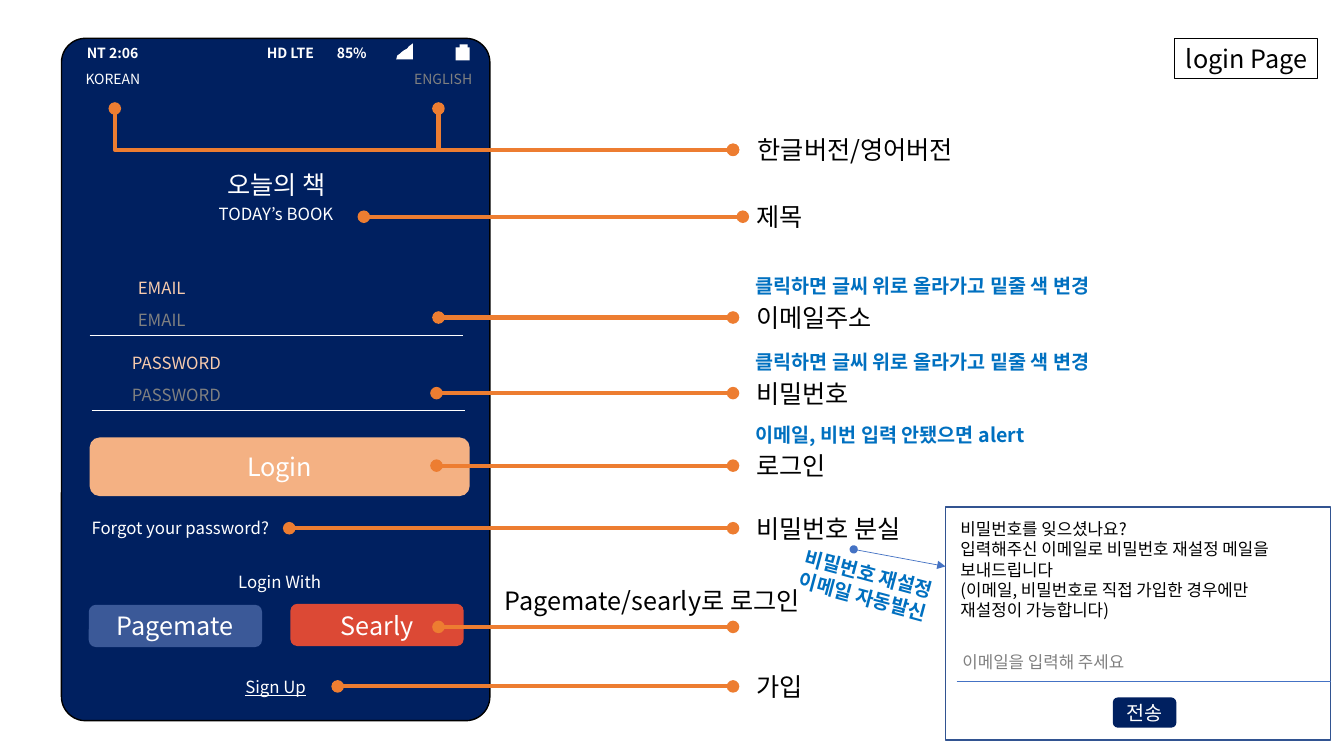
import pptx
import pptx.dml.color
import pptx.enum.shapes
import pptx.enum.text
import pptx.oxml.ns
import pptx.util
from lxml import etree

Pt = pptx.util.Pt
RGB = pptx.dml.color.RGBColor
ALIGN = pptx.enum.text.PP_ALIGN
ANCHOR = pptx.enum.text.MSO_ANCHOR
AUTO_SIZE = pptx.enum.text.MSO_AUTO_SIZE
SHAPE = pptx.enum.shapes.MSO_SHAPE
STRAIGHT = pptx.enum.shapes.MSO_CONNECTOR.STRAIGHT
qn = pptx.oxml.ns.qn

FONT = "Noto Sans CJK KR"
NAVY = RGB(0x00, 0x20, 0x60)
WHITE = RGB(0xFF, 0xFF, 0xFF)
BLACK = RGB(0x00, 0x00, 0x00)
GRAY = RGB(0x80, 0x80, 0x80)
PEACH = RGB(0xF4, 0xB1, 0x83)
PALE_PEACH = RGB(0xF8, 0xCB, 0xAD)
ORANGE = RGB(0xED, 0x7D, 0x31)
NOTE_BLUE = RGB(0x00, 0x70, 0xC0)
RULE_BLUE = RGB(0x44, 0x72, 0xC4)
POPUP_BLUE = RGB(0x32, 0x54, 0x91)
SOCIAL_BLUE = RGB(0x3B, 0x59, 0x98)
SOCIAL_RED = RGB(0xDC, 0x49, 0x35)

INPUT_NOTE = "클릭하면 글씨 위로 올라가고 밑줄 색 변경"


def write(shape, text, size=12, color=WHITE, bold=False, underline=False,
          align=ALIGN.LEFT, anchor=ANCHOR.TOP, wrap=True,
          auto_size=AUTO_SIZE.NONE):
    """Fill a shape with text, one paragraph per line."""
    frame = shape.text_frame
    frame.auto_size = auto_size
    frame.word_wrap = wrap
    frame.vertical_anchor = anchor
    for index, line in enumerate(text.split("\n")):
        paragraph = frame.add_paragraph() if index else frame.paragraphs[0]
        paragraph.alignment = align
        run = paragraph.add_run()
        run.text = line
        font = run.font
        font.name, font.size, font.bold = FONT, Pt(size), bold
        font.underline = underline
        font.color.rgb = color
        east_asian = etree.Element(qn("a:ea"), typeface=FONT)
        run._r.rPr.find(qn("a:latin")).addnext(east_asian)


def add_text(slide, text, left, top, width, height=21.6, **text_format):
    label = slide.shapes.add_textbox(Pt(left), Pt(top), Pt(width), Pt(height))
    write(label, text, **text_format)
    return label


def add_label(slide, text, left, top, width, **text_format):
    """Add a text box that grows with its unwrapped text."""
    return add_text(slide, text, left, top, width, wrap=False,
                    auto_size=AUTO_SIZE.SHAPE_TO_FIT_TEXT, **text_format)


def style(shape, fill, line=None, width=1):
    shape.shadow.inherit = False
    if fill is None:
        shape.fill.background()
    else:
        shape.fill.solid()
        shape.fill.fore_color.rgb = fill
    if line is None:
        shape.line.fill.background()
    else:
        shape.line.color.rgb = line
        shape.line.width = Pt(width)


def add_box(slide, kind, left, top, width, height, fill, line=None):
    box = slide.shapes.add_shape(kind, Pt(left), Pt(top), Pt(width), Pt(height))
    style(box, fill, line)
    return box


def add_button(slide, text, left, top, width, height, fill, size=18):
    button = add_box(slide, SHAPE.ROUNDED_RECTANGLE, left, top, width, height, fill)
    write(button, text, size=size, align=ALIGN.CENTER, anchor=ANCHOR.MIDDLE)


def add_ends(shape, head, tail):
    line = shape.line._get_or_add_ln()
    etree.SubElement(line, qn("a:headEnd"), type=head)
    etree.SubElement(line, qn("a:tailEnd"), type=tail)


def add_line(slide, x1, y1, x2, y2, color, width=0.5):
    line = slide.shapes.add_connector(STRAIGHT, Pt(x1), Pt(y1), Pt(x2), Pt(y2))
    line.line.color.rgb = color
    line.line.width = Pt(width)
    etree.SubElement(line._element.spPr, qn("a:effectLst"))
    return line


def add_path(slide, points, close):
    (x, y), *rest = [(Pt(px), Pt(py)) for px, py in points]
    builder = slide.shapes.build_freeform(x, y)
    builder.add_line_segments(rest, close=close)
    return builder.convert_to_shape()


def add_status_bar(slide, left, top):
    for text, x in (("NT 2:06", 11), ("HD LTE", 139.6), ("85%", 189.6)):
        add_text(slide, text, left + x, top + 0.7, 70, 19.4, size=10, bold=True)
    steps = ((0, 11.5), (11.9, 11.5), (11.9, 0), (9, 2.2), (8, 3.6),
             (5.5, 5), (3.5, 6.5), (2.5, 7.5), (0.8, 8.6))
    signal = add_path(slide, [(left + 239.1 + x, top + 3.6 + y) for x, y in steps], True)
    style(signal, WHITE)
    add_box(slide, SHAPE.RECTANGLE, left + 281.5, top + 6.4, 10.1, 9.4, WHITE)
    add_box(slide, SHAPE.RECTANGLE, left + 284.4, top + 4.3, 5.8, 8.6, WHITE)


def add_phone(slide, left, top, width, height):
    body = add_box(slide, SHAPE.ROUNDED_RECTANGLE, left, top, width, height, NAVY, BLACK)
    body.adjustments[0] = 0.056
    add_status_bar(slide, left, top)
    add_text(slide, "KOREAN", left + 10.1, top + 19.4, 63.4, size=10)
    add_text(slide, "ENGLISH", left + 244.8, top + 19.4, 63.4, size=10, color=GRAY)
    add_text(slide, "오늘의 책", left + 105.9, top + 90, 95, 28.8, size=18,
             align=ALIGN.CENTER)
    add_text(slide, "TODAY’s BOOK", left + 69.1, top + 114.4, 168.5,
             align=ALIGN.CENTER)
    for field, x, y, rule_x in (("EMAIL", 47.5, 167.5, 20.2),
                                ("PASSWORD", 43.3, 221.3, 21.6)):
        add_text(slide, field, left + x, top + y, 140, color=PALE_PEACH)
        add_text(slide, field, left + x, top + y + 22.6, 140, color=GRAY)
        rule_y = top + y + 44.6
        add_line(slide, left + rule_x, rule_y, left + rule_x + 266.4, rule_y, WHITE)
    add_button(slide, "Login", left + 20.2, top + 285.1, 271.4, 41.8, PEACH)
    add_text(slide, "Forgot your password?", left + 14.4, top + 339.1, 147.6)
    add_text(slide, "Login With", left + 82.1, top + 377.2, 147.6, align=ALIGN.CENTER)
    add_button(slide, "Pagemate", left + 19.5, top + 404.6, 123.8, 30.2, SOCIAL_BLUE)
    add_button(slide, "Searly", left + 163.5, top + 403.9, 123.8, 30.2, SOCIAL_RED)
    add_text(slide, "Sign Up", left + 79.2, top + 452.1, 147.6, underline=True,
             align=ALIGN.CENTER)


def add_callouts(slide, left, top, width):
    """Run a leader from each phone element to its label right of the box."""
    right = left + width
    for x in (0, 231.2):
        leader = add_path(slide, [(left + x, top), (left + x, top + 29.5),
                                  (right, top + 29.5)], False)
        style(leader, None, ORANGE, 3)
        add_ends(leader, "oval", "oval")
    add_label(slide, "한글버전/영어버전", right + 10.6, top + 14.8, 167, size=18, color=BLACK)
    rows = (("제목", 177.9, 77.3, 51.1, None),
            ("이메일주소", 231.2, 149.3, 105.1, INPUT_NOTE),
            ("비밀번호", 229.8, 203.3, 87.1, INPUT_NOTE),
            ("로그인", 229.8, 255.1, 69.1, "이메일, 비번 입력 안됐으면 alert"),
            ("비밀번호 분실", 124.6, 299.8, 130.3, None),
            ("Pagemate/searly로 로그인", 231.2, 370.3, 236.9, None),
            ("가입", 159.2, 412.8, 51.1, None))
    for label, x, y, label_width, note in rows:
        end = right + (7 if label == "제목" else 0)
        leader = add_line(slide, left + x, top + y, end, top + y, ORANGE, 3)
        add_ends(leader, "oval", "oval")
        social = label.startswith("Pagemate")
        add_label(slide, label, right + (-170 if social else 9.4),
                  top + y - (33 if social else 14.4), label_width, size=18, color=BLACK)
        if note:
            add_label(slide, note, right + 9, top + y - 34.4, 284, size=14,
                      color=NOTE_BLUE, bold=True)


def add_reset_popup(slide, left, top, width, height):
    add_box(slide, SHAPE.RECTANGLE, left, top, width, height, WHITE, POPUP_BLUE)
    add_text(slide, "비밀번호를 잊으셨나요?\n"
             "입력해주신 이메일로 비밀번호 재설정 메일을 보내드립니다\n"
             "(이메일, 비밀번호로 직접 가입한 경우에만 재설정이 가능합니다)",
             left + 3.6, top + 5, 261.4, 80, color=BLACK)
    add_text(slide, "이메일을 입력해 주세요", left + 5, top + 100, 172, color=GRAY)
    add_line(slide, left + 7.9, top + 124.5, left + width, top + 124.5, RULE_BLUE)
    add_button(slide, "전송", left + 119.5, top + 136, 45.4, 21.6, NAVY, size=14)
    arrow = add_line(slide, left - 65.6, top + 30.2, left, top + 42.4, RULE_BLUE)
    add_ends(arrow, "oval", "triangle")
    mail_note = add_label(slide, "비밀번호 재설정\n이메일 자동발신", left - 110.9, top + 36.7,
                          118, height=41, size=14, color=NOTE_BLUE, bold=True)
    mail_note.rotation = 15.1


def add_page_title(slide, left, top, width, height):
    title = slide.shapes.title
    title.left, title.top, title.width, title.height = map(Pt, (left, top, width, height))
    title.line.color.rgb = BLACK
    title.line.width = Pt(0.75)
    write(title, "login Page", size=18, color=BLACK, align=ALIGN.RIGHT, wrap=False)


def main():
    deck = pptx.Presentation()
    deck.slide_width, deck.slide_height = Pt(960), Pt(540)
    slide = deck.slides.add_slide(deck.slide_layouts[5])
    add_page_title(slide, 838.8, 27.4, 102.2, 28.8)
    add_phone(slide, 43.9, 27.4, 306, 487.4)
    add_callouts(slide, 82, 77.5, 441.6)
    add_reset_popup(slide, 675.4, 362.2, 275, 166.3)
    deck.save("out.pptx")


if __name__ == "__main__":
    main()
